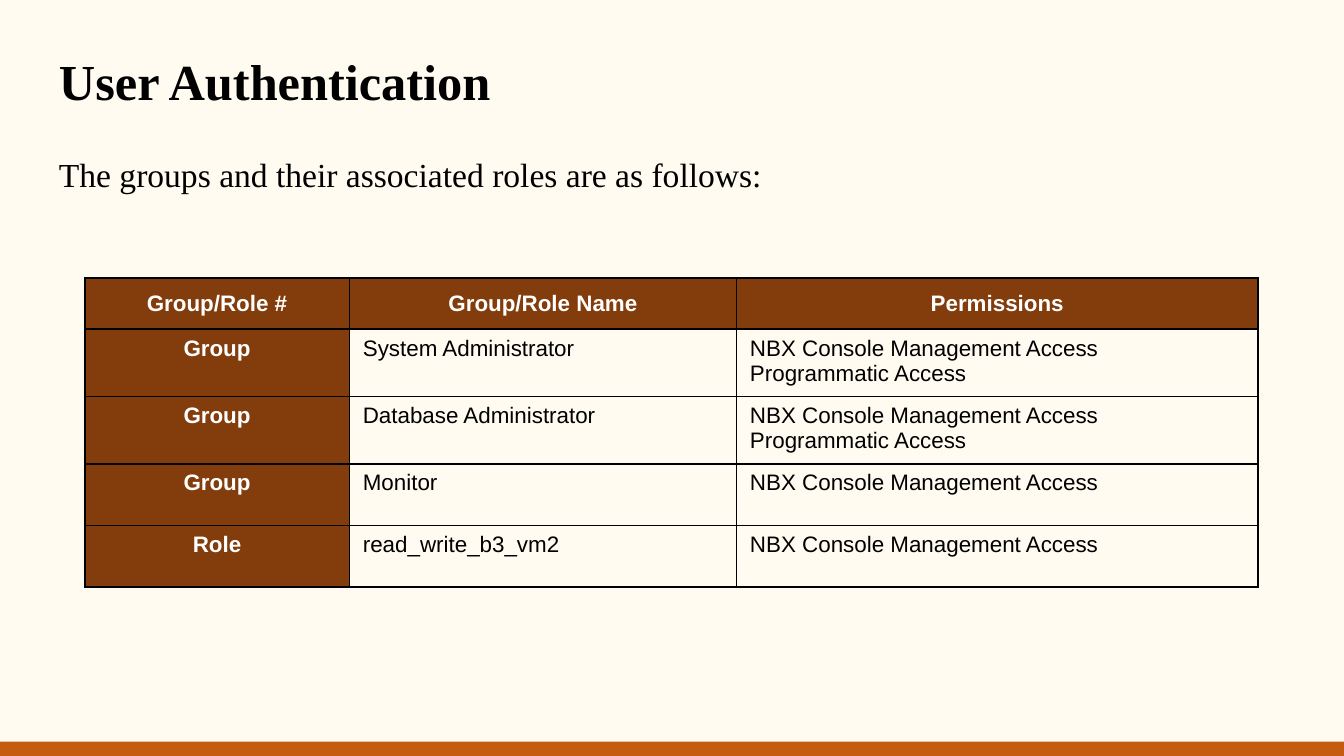
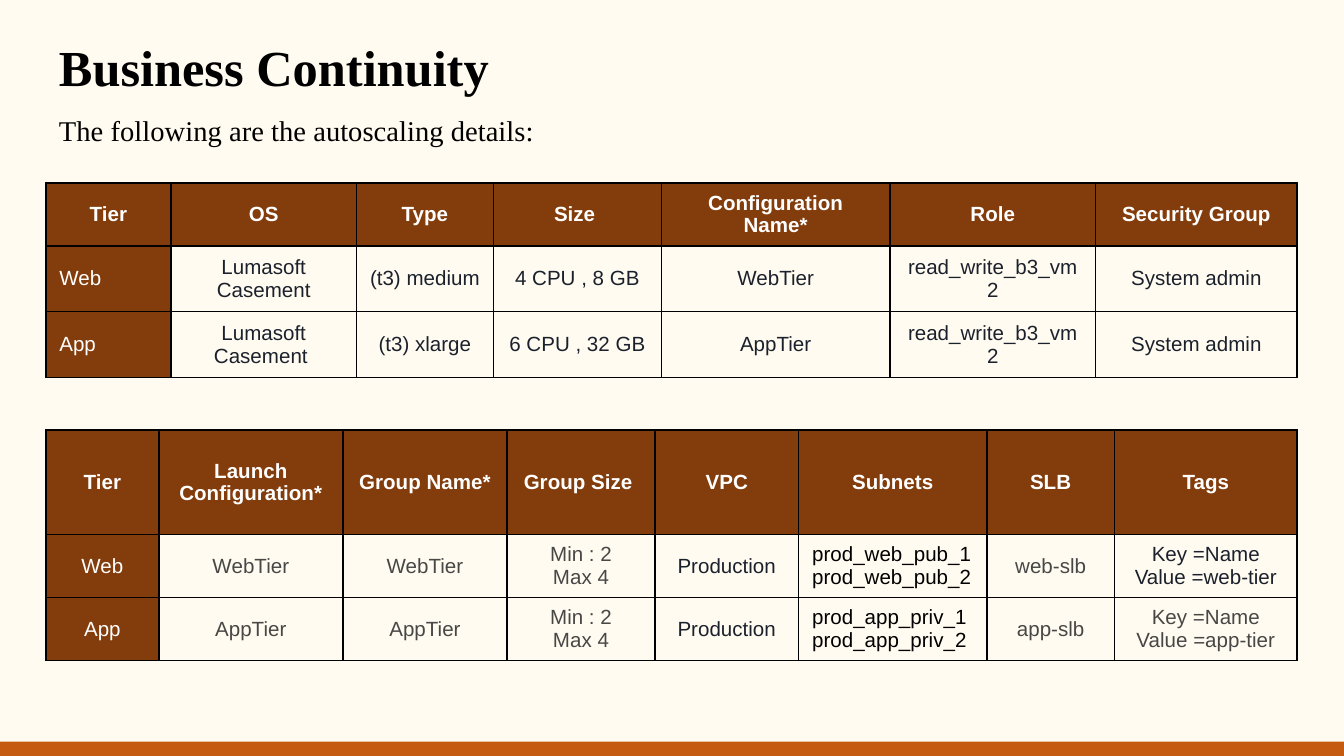
from copy import deepcopy
from pptx import Presentation
from pptx.dml.color import RGBColor
from pptx.enum.shapes import MSO_SHAPE
from pptx.enum.text import MSO_ANCHOR as Anchor, PP_ALIGN as Align
from pptx.oxml import parse_xml
from pptx.oxml.ns import nsdecls, qn
from pptx.util import Pt

CREAM, RUST, BROWN = "FFFBF0", "C55A11", "833C0B"
BLACK, WHITE, INK, GREY = "000000", "FFFFFF", "1B212C", "474746"
SERIF, SANS = "Times New Roman", "Arial"
WIDE, HIGH, BAND = 720, 405, 7.6
LEFT, MID = Align.LEFT, Align.CENTER


def rgb(code):
    return RGBColor.from_string(code)


def write(frame, text, size, font=SANS, color=BLACK, bold=False,
          align=LEFT, space=None, after=None):
    """Fill a text frame: a newline starts a paragraph, \\v breaks a line."""
    frame.word_wrap = True
    for i, line in enumerate(text.split("\n")):
        para = frame.add_paragraph() if i else frame.paragraphs[0]
        para.text = line
        para.alignment = align
        if space:
            para.line_spacing = space
        if after:
            para.space_after = Pt(after)
        for run in para.runs:
            run.font.name, run.font.size = font, Pt(size)
            run.font.bold, run.font.color.rgb = bold, rgb(color)
        for mark in para._p.findall(qn("a:br")):
            mark.insert(0, deepcopy(para.runs[0]._r.rPr))


CONSOLE = "NBX Console Management Access"
BOTH = CONSOLE + "\vProgrammatic Access"
ACCESS = "read_write_b3_vm2"
SYSTEM = "Lumasoft Casement"

# Each table: place, sizes, first column style, then column alignment and
# one list of text colours per body row.
roles = dict(
    left=45.4, top=149, size=12, anchor=Anchor.TOP, bold=True,
    cols=[141.8, 207.4, 279.4], rows=[27.4, 25.2, 33.1, 33.1, 33.1],
    align=[MID, LEFT, LEFT], colors=[[WHITE, BLACK, BLACK]] * 4,
    data=[
        ["Group/Role #", "Group/Role Name", "Permissions"],
        ["Group", "System Administrator", BOTH],
        ["Group", "Database Administrator", BOTH],
        ["Group", "Monitor", CONSOLE],
        ["Role", ACCESS, CONSOLE],
    ])

launch = dict(
    left=24.6, top=97.9, size=11, anchor=Anchor.MIDDLE, bold=False,
    cols=[67, 99.4, 73.4, 90, 122.4, 110.2, 108], rows=[33.8, 35.3, 35.3],
    align=[LEFT] + [MID] * 6, colors=[[WHITE] + [INK] * 6] * 2,
    data=[
        ["Tier", "OS", "Type", "Size ", "Configuration Name*", "Role",
         "Security Group"],
        ["Web", SYSTEM, "(t3) medium", "4 CPU , 8 GB", "WebTier", ACCESS,
         "System admin"],
        ["App", SYSTEM + " ", "(t3) xlarge", "6 CPU , 32 GB", "AppTier",
         ACCESS, "System admin"],
    ])

shades = [WHITE, GREY, GREY, GREY, INK, BLACK, GREY]
scaling = dict(
    left=24.6, top=230.4, size=11, anchor=Anchor.MIDDLE, bold=False,
    cols=[60.5, 98.6, 88, 79.2, 77, 100.8, 68.4, 97.9],
    rows=[56, 33.8, 26.6],
    align=[MID] * 5 + [LEFT, MID, MID],
    colors=[shades + [INK], shades + [GREY]],
    data=[
        ["Tier", "Launch Configuration*", "Group Name*", "Group Size ",
         "VPC", "Subnets", "SLB", "Tags"],
        ["Web", "WebTier", "WebTier", "Min : 2\nMax 4", "Production",
         "prod_web_pub_1\nprod_web_pub_2", "web-slb",
         "Key =Name Value =web-tier"],
        ["App", "AppTier", "AppTier", "Min : 2\nMax 4", "Production",
         "prod_app_priv_1\nprod_app_priv_2", "app-slb",
         "Key =Name Value =app-tier"],
    ])

# Title and its top, then lead text with top, height, size and line spacing
pages = [
    ("User Authentication", 19.4,
     "The groups and their associated roles are as follows:",
     72, 42.5, 18, 1.15, [roles]),
    ("Business Continuity", 12.2,
     "The following are the autoscaling details:",
     54.7, 32.4, 15.3, 0.95, [launch, scaling]),
]

prs = Presentation()
prs.slide_width, prs.slide_height = Pt(WIDE), Pt(HIGH)

for title, head, lead, top, tall, size, space, grids in pages:
    slide = prs.slides.add_slide(prs.slide_layouts[6])
    slide.background.fill.solid()
    slide.background.fill.fore_color.rgb = rgb(CREAM)

    band = slide.shapes.add_shape(
        MSO_SHAPE.RECTANGLE, 0, Pt(HIGH - BAND), Pt(WIDE), Pt(BAND))
    band.shadow.inherit = False
    band.fill.solid()
    band.fill.fore_color.rgb = rgb(RUST)
    band.line.fill.background()

    for text, y, high, style in [
        (title, head, 48.2, dict(size=27, bold=True)),
        (lead, top, tall, dict(size=size, space=space, after=12)),
    ]:
        box = slide.shapes.add_textbox(Pt(24.5), Pt(y), Pt(671), Pt(high))
        frame = box.text_frame
        frame.margin_left = frame.margin_right = Pt(7.2)
        frame.margin_top = frame.margin_bottom = Pt(7.2)
        write(frame, text, font=SERIF, **style)

    for grid in grids:
        cols, rows = grid["cols"], grid["rows"]
        table = slide.shapes.add_table(
            len(rows), len(cols), Pt(grid["left"]), Pt(grid["top"]),
            Pt(sum(cols)), Pt(sum(rows))).table
        table.first_row = table.horz_banding = False
        for col, wide in zip(table.columns, cols):
            col.width = Pt(wide)
        for row, high in zip(table.rows, rows):
            row.height = Pt(high)

        for r, line in enumerate(grid["data"]):
            for c, text in enumerate(line):
                cell = table.cell(r, c)
                props = cell._tc.get_or_add_tcPr()
                for side in "LRTB":
                    props.append(parse_xml(
                        f'<a:ln{side} {nsdecls("a")} w="{Pt(1)}"><a:solidFill>'
                        f'<a:srgbClr val="{BLACK}"/></a:solidFill></a:ln{side}>'))
                if r == 0 or c == 0:
                    cell.fill.solid()
                    cell.fill.fore_color.rgb = rgb(BROWN)
                else:
                    cell.fill.background()
                cell.vertical_anchor = grid["anchor"] if r else Anchor.MIDDLE
                write(cell.text_frame, text, grid["size"],
                      color=grid["colors"][r - 1][c] if r else WHITE,
                      bold=r == 0 or (c == 0 and grid["bold"]),
                      align=grid["align"][c] if r else MID)

prs.save("out.pptx")
